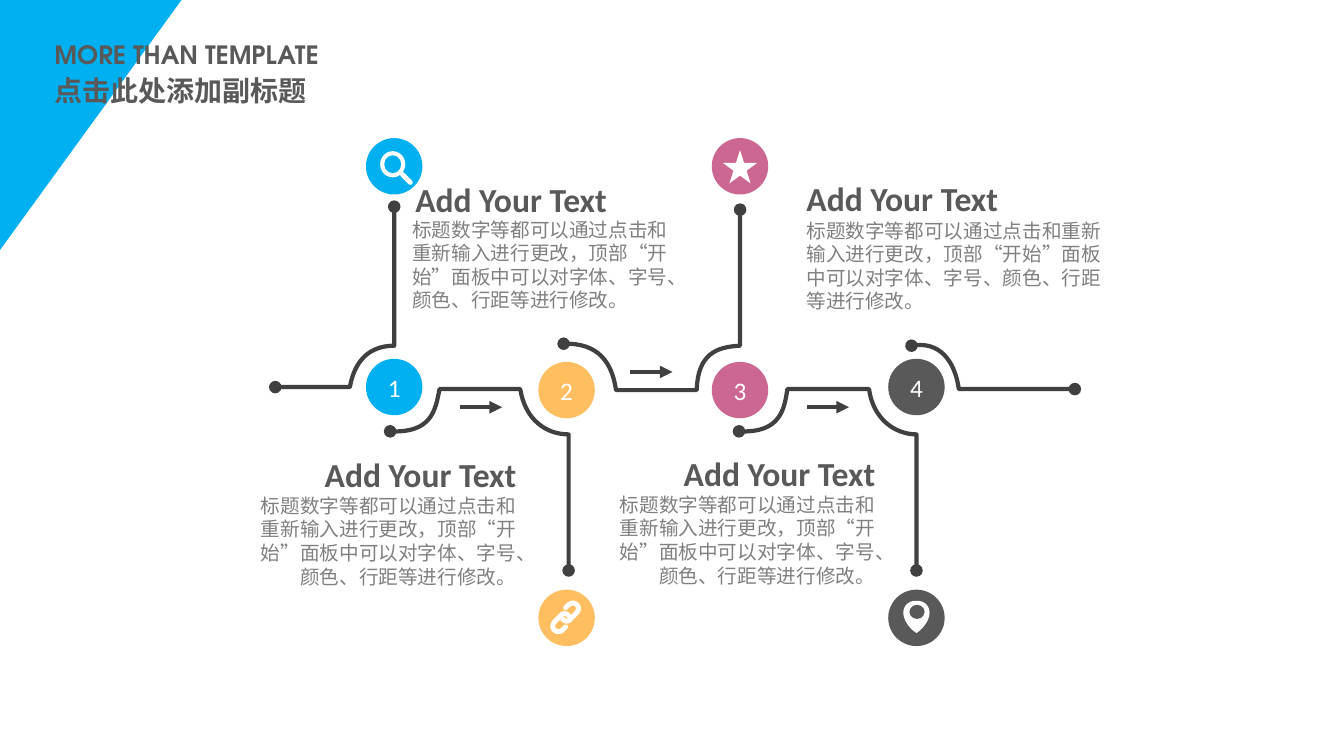
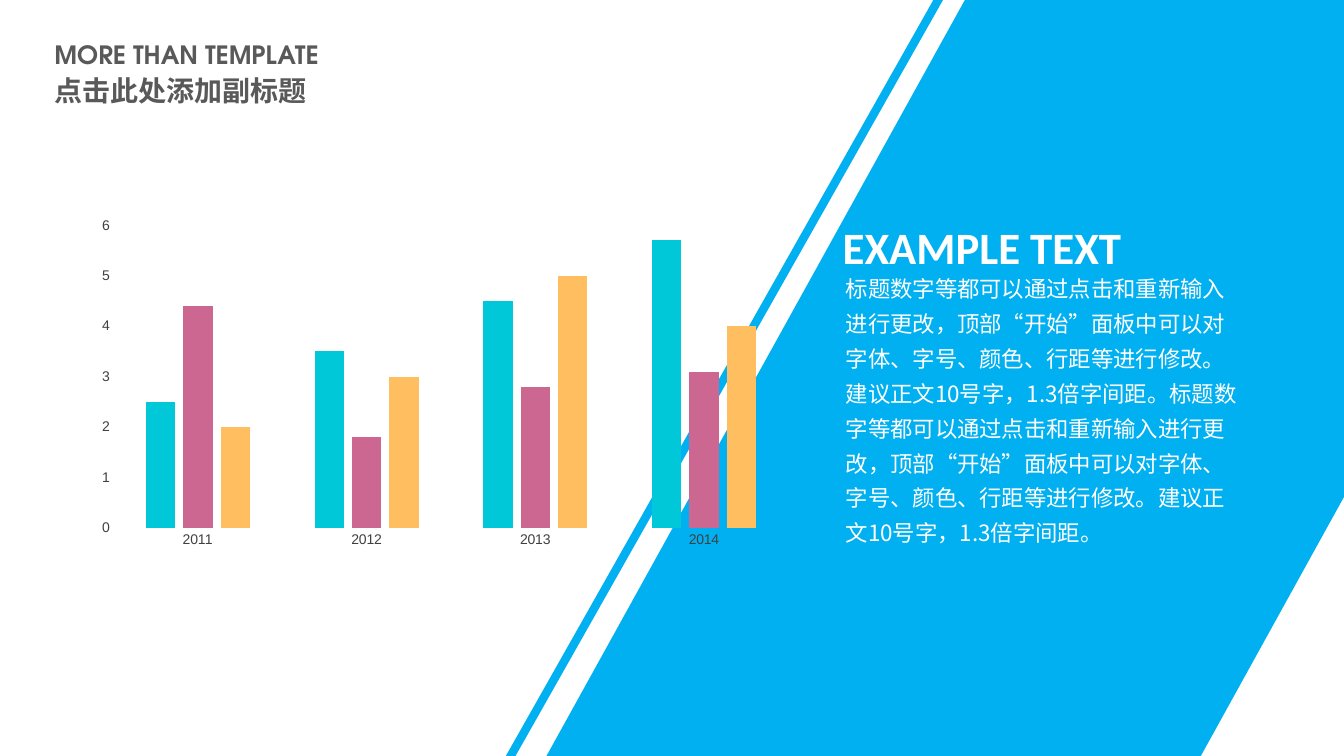
from dataclasses import dataclass

from lxml import etree
from pptx import Presentation
from pptx import util as u
from pptx.chart.data import CategoryChartData
from pptx.dml.color import RGBColor
from pptx.enum import chart as charts
from pptx.enum import shapes, text
from pptx.oxml.ns import qn

PX = 9144  # EMU per px, 100 px to the inch
SLIDE_WIDTH, SLIDE_HEIGHT = 1333, 750

BLUE, PINK, ORANGE, TEAL = "00B0F0", "CB6790", "FFBE60", "00C8D9"
SLATE, INK, GREY, WHITE = "595959", "404040", "808080", "FFFFFF"
LATIN, CJK, HEADING = "Calibri", "Noto Sans CJK SC", "TeX Gyre Adventor"
LEFT, CENTER, RIGHT = text.PP_ALIGN.LEFT, text.PP_ALIGN.CENTER, text.PP_ALIGN.RIGHT

BODY = "标题数字等都可以通过点击和重新输入进行更改，顶部“开始”面板中可以对字体、字号、颜色、行距等进行修改。"
ADVICE = "建议正文10号字，1.3倍字间距。"

# A path holds its start, then (x, y) for a line or (x1, y1, x2, y2, x, y) for a curve.
Path = list[tuple[int, ...]]
Box = tuple[int, int, int, int]


@dataclass(frozen=True)
class Style:
    size: int
    color: str
    font: str = LATIN
    bold: bool = False
    align: text.PP_ALIGN = LEFT
    spacing: float = 1.0


@dataclass(frozen=True)
class Disc:
    left: int
    top: int
    color: str
    label: str = ""


@dataclass(frozen=True)
class Note:
    heading: Box
    body: Box
    align: text.PP_ALIGN


@dataclass(frozen=True)
class Series:
    name: str
    color: str
    values: tuple[float, ...]


DISC_SIZE = 56
DISCS = [
    Disc(363, 137, BLUE), Disc(363, 356, BLUE, "1"),
    Disc(534, 585, ORANGE), Disc(534, 359, ORANGE, "2"),
    Disc(706, 137, PINK), Disc(706, 359, PINK, "3"),
    Disc(881, 585, SLATE), Disc(881, 356, SLATE, "4"),
]
TRACKS: list[Path] = [
    [(273, 384), (347, 384), (353, 351, 373, 343, 391, 343), (391, 205)],
    [(387, 428), (429, 430, 432, 406, 436, 386), (516, 386),
     (521, 417, 542, 431, 564, 431), (564, 566)],
    [(559, 341), (594, 340, 607, 360, 611, 387), (691, 387),
     (692, 351, 711, 344, 734, 343), (734, 208)],
    [(904, 343), (932, 338, 947, 358, 951, 386), (1066, 386)],
    [(733, 428), (775, 430, 778, 405, 781, 386), (862, 386),
     (866, 416, 888, 431, 909, 431), (909, 566)],
]
ARROWS = [(456, 404), (625, 369), (800, 404)]
ARROW_LENGTH = 42
NOTES = [
    Note((402, 173, 212, 50), (399, 211, 280, 104), LEFT),
    Note((790, 172, 212, 50), (790, 212, 320, 104), LEFT),
    Note((310, 445, 212, 50), (233, 485, 289, 104), RIGHT),
    Note((666, 444, 212, 50), (592, 484, 286, 104), RIGHT),
]
PIN: Path = [
    (909, 596), (917, 596, 922, 601, 922, 608), (922, 614, 917, 623, 909, 628),
    (901, 623, 896, 614, 896, 608), (896, 601, 901, 596, 909, 596),
]
LINK: Path = [
    (561, 603), (564, 600), (570, 595, 577, 602, 572, 608), (566, 614),
    (564, 617, 560, 617, 558, 614),
]
LINK_TURN = (1122, 1225)  # twice the centre about which the second link is turned
BAND: Path = [(957, 0), (SLIDE_WIDTH, 0), (SLIDE_WIDTH, 493), (1191, SLIDE_HEIGHT),
              (542, SLIDE_HEIGHT)]
YEARS = ["2011", "2012", "2013", "2014"]
SERIES = [
    Series("Series 1", TEAL, (2.5, 3.5, 4.5, 5.7)),
    Series("Series 2", PINK, (4.4, 1.8, 2.8, 3.1)),
    Series("Series 3", ORANGE, (2, 3, 5, 4)),
]


def rgb(color: str) -> RGBColor:
    return RGBColor.from_string(color)


def emu(*lengths: float) -> list[u.Emu]:
    return [u.Emu(round(length * PX)) for length in lengths]


def write(paragraph, content: str, style: Style) -> None:
    paragraph.text = content
    paragraph.alignment = style.align
    paragraph.line_spacing = style.spacing
    font = paragraph.font
    font.size = u.Pt(style.size)
    font.bold = style.bold
    font.color.rgb = rgb(style.color)
    font.name = style.font
    etree.SubElement(font._rPr, qn("a:ea"), typeface=CJK)


def add_text(slide, box: Box, content: str, style: Style, wrap: bool = True) -> None:
    frame = slide.shapes.add_textbox(*emu(*box)).text_frame
    frame.word_wrap = wrap
    frame.auto_size = text.MSO_AUTO_SIZE.SHAPE_TO_FIT_TEXT
    write(frame.paragraphs[0], content, style)


def paint(shape, color: str) -> None:
    shape.shadow.inherit = False
    shape.fill.solid()
    shape.fill.fore_color.rgb = rgb(color)
    shape.line.fill.background()


def add_preset(slide, kind: shapes.MSO_SHAPE, box: Box, color: str):
    shape = slide.shapes.add_shape(kind, *emu(*box))
    paint(shape, color)
    return shape


def format_line(line, color: str, width: float, head: str = "none", tail: str = "none",
                cap: str = "flat") -> None:
    line.color.rgb = rgb(color)
    line.width = u.Pt(width)
    outline = line._get_or_add_ln()
    outline.set("cap", cap)
    etree.SubElement(outline, qn("a:headEnd"), type=head)
    etree.SubElement(outline, qn("a:tailEnd"), type=tail)


def add_line(slide, ends: Box, color: str, width: float, **marks: str) -> None:
    connector = slide.shapes.add_connector(shapes.MSO_CONNECTOR.STRAIGHT, *emu(*ends))
    format_line(connector.line, color, width, **marks)
    etree.SubElement(connector._element.spPr, qn("a:effectLst"))


def flatten(path: Path, steps: int = 16) -> list[tuple[float, float]]:
    """Turn the curves of a path into short straight pieces."""
    points = [path[0]]
    for segment in path[1:]:
        if len(segment) == 2:
            points.append(segment)
            continue
        controls = [points[-1], segment[:2], segment[2:4], segment[4:]]
        for step in range(1, steps + 1):
            t = step / steps
            weights = ((1 - t) ** 3, 3 * t * (1 - t) ** 2, 3 * t * t * (1 - t), t ** 3)
            points.append(tuple(
                sum(weight * control[axis] for weight, control in zip(weights, controls))
                for axis in (0, 1)))
    return points


def add_path(slide, path: Path, closed: bool):
    points = [emu(*point) for point in flatten(path)]
    builder = slide.shapes.build_freeform(*points[0], scale=1.0)
    builder.add_line_segments(points[1:], close=closed)
    shape = builder.convert_to_shape()
    shape.shadow.inherit = False
    return shape


def add_area(slide, path: Path, color: str) -> None:
    paint(add_path(slide, path, closed=True), color)


def add_stroke(slide, path: Path, color: str, width: float, **marks: str) -> None:
    shape = add_path(slide, path, closed=False)
    shape.fill.background()
    format_line(shape.line, color, width, **marks)


def add_disc(slide, disc: Disc) -> None:
    box = (disc.left, disc.top, DISC_SIZE, DISC_SIZE)
    shape = add_preset(slide, shapes.MSO_SHAPE.OVAL, box, disc.color)
    if disc.label:
        shape.text_frame.vertical_anchor = text.MSO_ANCHOR.MIDDLE
        write(shape.text_frame.paragraphs[0], disc.label, Style(18, WHITE, align=CENTER))


def add_icons(slide) -> None:
    """Draw the magnifier, the chain, the pin and the star."""
    ring = add_preset(slide, shapes.MSO_SHAPE.DONUT, (377, 150, 25, 26), WHITE)
    ring.adjustments[0] = 0.16
    add_line(slide, (399, 173, 407, 181), WHITE, 3.5, cap="rnd")

    turned = [tuple(LINK_TURN[index % 2] - value for index, value in enumerate(segment))
              for segment in LINK]
    for link in (LINK, turned):
        add_stroke(slide, link, WHITE, 3.5, cap="rnd")

    add_area(slide, PIN, WHITE)
    add_preset(slide, shapes.MSO_SHAPE.OVAL, (902, 600, 15, 14), SLATE)
    add_preset(slide, shapes.MSO_SHAPE.STAR_5_POINT, (717, 149, 34, 33), WHITE)


def set_title(slide) -> None:
    """Fill the title placeholder and bring it to the front."""
    title = slide.shapes.title
    title.left, title.top, title.width, title.height = emu(44, 31, 334, 80)
    frame = title.text_frame
    frame.word_wrap = True
    frame.auto_size = text.MSO_AUTO_SIZE.SHAPE_TO_FIT_TEXT
    frame.vertical_anchor = text.MSO_ANCHOR.MIDDLE
    write(frame.paragraphs[0], "MORE THAN TEMPLATE",
          Style(18, SLATE, HEADING, bold=True, spacing=1.1))
    write(frame.add_paragraph(), "点击此处添加副标题",
          Style(20, SLATE, CJK, bold=True, spacing=1.1))
    title._element.getparent().append(title._element)


def add_column_chart(slide, box: Box) -> None:
    data = CategoryChartData()
    data.categories = YEARS
    for series in SERIES:
        data.add_series(series.name, series.values)
    chart = slide.shapes.add_chart(
        charts.XL_CHART_TYPE.COLUMN_CLUSTERED, *emu(*box), data).chart
    chart.has_legend = chart.has_title = False
    chart.font.size = u.Pt(10)
    chart.font.name = "Arial"
    chart.font.color.rgb = rgb(INK)

    plot = chart.plots[0]
    plot.gap_width, plot.overlap = 219, -27
    plot.vary_by_categories = False
    for drawn, series in zip(plot.series, SERIES):
        drawn.format.fill.solid()
        drawn.format.fill.fore_color.rgb = rgb(series.color)

    for axis in (chart.category_axis, chart.value_axis):
        axis.has_major_gridlines = False
        axis.major_tick_mark = axis.minor_tick_mark = charts.XL_TICK_MARK.NONE
        axis.format.line.fill.background()
    scale = chart.value_axis
    scale.minimum_scale, scale.maximum_scale, scale.major_unit = 0, 6, 1


def build_timeline(slide) -> None:
    for track in TRACKS:
        add_stroke(slide, track, INK, 3, head="oval", tail="oval")
    for left, top in ARROWS:
        add_line(slide, (left, top, left + ARROW_LENGTH, top), INK, 3, tail="triangle")
    for disc in DISCS:
        add_disc(slide, disc)
    add_icons(slide)
    for note in NOTES:
        add_text(slide, note.body, BODY, Style(14, GREY, align=note.align))
        add_text(slide, note.heading, "Add Your Text",
                 Style(24, SLATE, bold=True, align=note.align), wrap=False)
    corner = add_preset(slide, shapes.MSO_SHAPE.ISOSCELES_TRIANGLE, (0, 0, 180, 248), BLUE)
    corner.adjustments[0] = 1
    corner.rotation = 180


def build_chart_page(slide) -> None:
    add_line(slide, (935, -8, 502, 758), BLUE, 6)
    add_area(slide, BAND, BLUE)
    add_column_chart(slide, (87, 209, 709, 341))
    add_text(slide, (829, 260, 413, 290), (BODY + ADVICE) * 2,
             Style(16, WHITE, CJK, spacing=1.3))
    add_text(slide, (826, 186, 299, 91), "EXAMPLE TEXT",
             Style(32, WHITE, bold=True, spacing=1.5), wrap=False)


def main() -> None:
    presentation = Presentation()
    presentation.slide_width, presentation.slide_height = emu(SLIDE_WIDTH, SLIDE_HEIGHT)
    title_only = presentation.slide_layouts[5]
    for build in (build_timeline, build_chart_page):
        slide = presentation.slides.add_slide(title_only)
        build(slide)
        set_title(slide)
    presentation.save("out.pptx")


if __name__ == "__main__":
    main()
